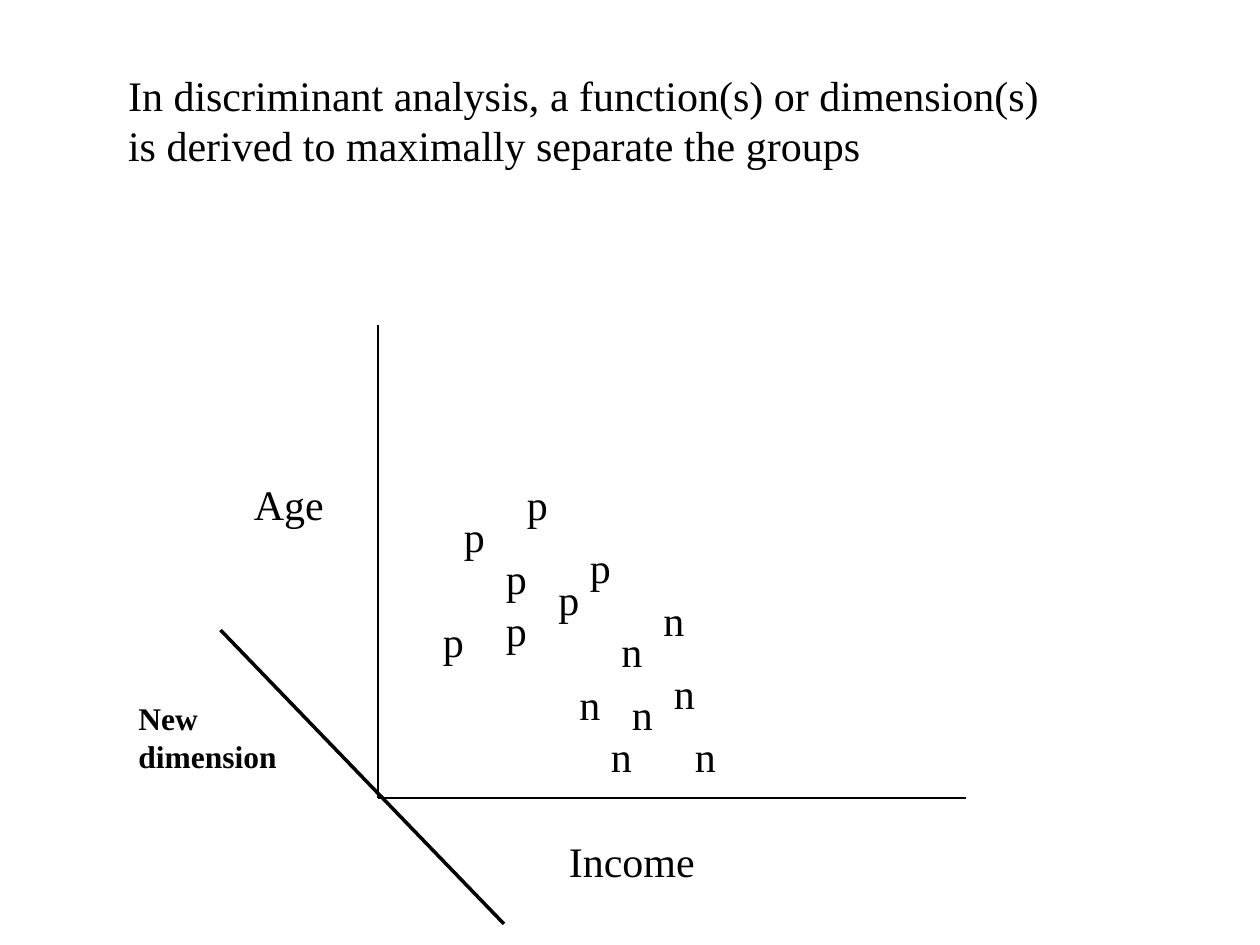
from lxml.etree import SubElement
from pptx import Presentation
from pptx.dml.color import RGBColor
from pptx.enum.shapes import MSO_CONNECTOR as CONN
from pptx.enum.text import MSO_ANCHOR as ANCHOR, MSO_AUTO_SIZE as AUTO, PP_ALIGN as ALIGN
from pptx.oxml.ns import qn
from pptx.util import Pt

TITLE = ("In discriminant analysis, a function(s) or dimension(s) "
         "is derived to maximally separate the groups", (88, 48, 720, 87))
LABELS = [
    ("Age", (184, 360, 74, 48), "body"),
    ("Income", (424, 632, 256, 48), "body"),
    ("New dimension", (96, 528, 152, 67), "note"),
]
POINTS = {
    "p": [(344, 384, 40), (416, 432, 32), (392, 360, 40), (376, 456, 40),
          (328, 464, 32), (376, 416, 32), (440, 408, 40)],
    "n": [(464, 472, 48), (456, 552, 64), (432, 512, 48), (472, 520, 40),
          (496, 448, 40), (504, 504, 48), (520, 552, 48)],
}
POINT_H = 48
LINES = [
    ((288, 248), (288, 608), "axis"),
    ((288, 608), (736, 608), "axis"),
    ((168, 480), (384, 704), "dimension"),
]
THEME = {
    "ink": RGBColor(0, 0, 0),
    "font": "Times New Roman",
    "body": {"size": Pt(24), "bold": False},
    "note": {"size": Pt(18), "bold": True},
    "axis": Pt(0.75),
    "dimension": Pt(2),
}
FRAME = {"word_wrap": True, "auto_size": AUTO.SHAPE_TO_FIT_TEXT, "vertical_anchor": ANCHOR.TOP}
PARAGRAPH = {"alignment": ALIGN.LEFT, "line_spacing": 1.0}
SCALE = 9525


def px(*values):
    return [v * SCALE for v in values]


def apply(obj, formats):
    for name, value in formats.items():
        setattr(obj, name, value)


def write(sp, text, style):
    tf = sp.text_frame
    apply(tf, FRAME)
    p = tf.paragraphs[0]
    apply(p, PARAGRAPH)
    r = p.add_run()
    r.text = text
    apply(r.font, {"name": THEME["font"], **THEME[style]})
    r.font.color.rgb = THEME["ink"]


def add_label(s, text, box, style):
    write(s.shapes.add_textbox(*px(*box)), text, style)


def add_line(s, start, end, style):
    line = s.shapes.add_connector(CONN.STRAIGHT, *px(*start, *end))
    line.line.color.rgb = THEME["ink"]
    line.line.width = THEME[style]
    SubElement(line._element.spPr, qn("a:effectLst"))


def main():
    prs = Presentation()
    prs.slide_width, prs.slide_height = px(960, 720)
    s = prs.slides.add_slide(prs.slide_layouts[5])
    text, box = TITLE
    title = s.shapes.title
    apply(title, dict(zip(("left", "top", "width", "height"), px(*box))))
    write(title, text, "body")
    for line in LINES:
        add_line(s, *line)
    for label in LABELS:
        add_label(s, *label)
    for group, places in POINTS.items():
        for x, y, w in places:
            add_label(s, group, (x, y, w, POINT_H), "body")
    prs.save("out.pptx")


if __name__ == "__main__":
    main()
